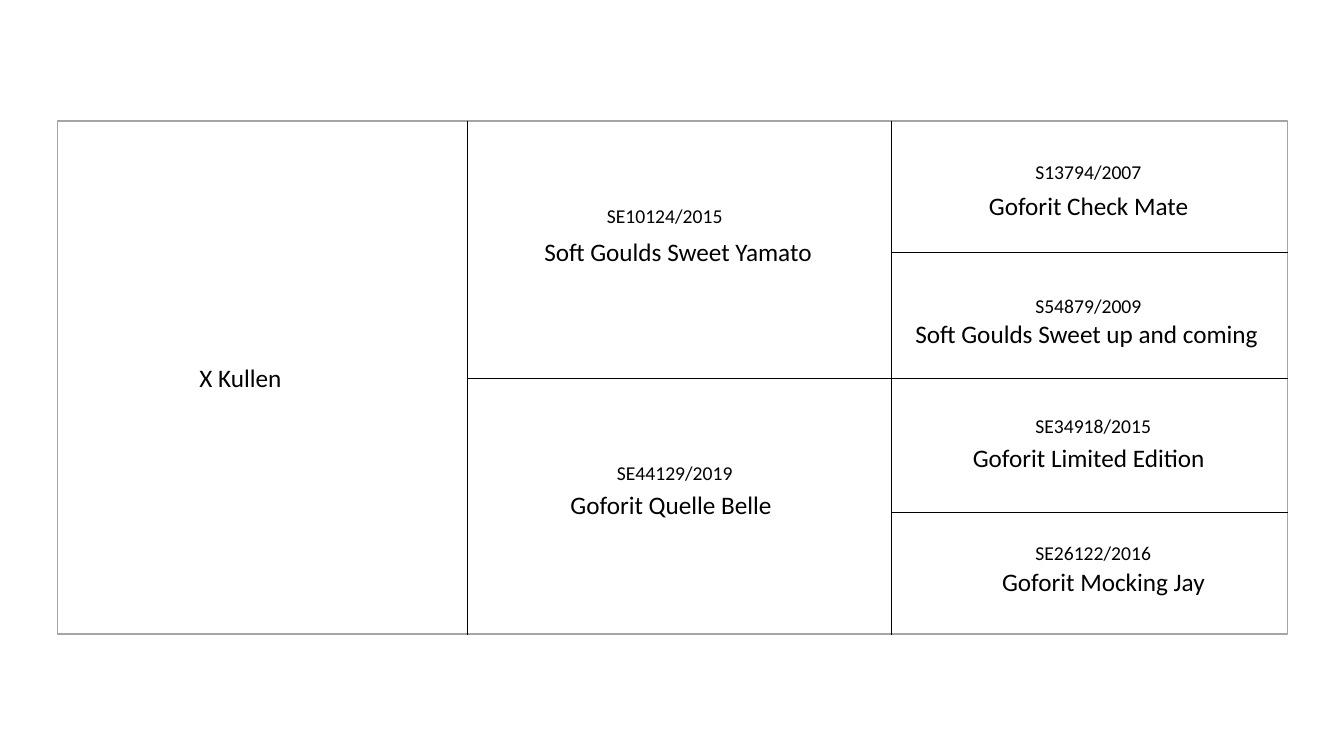
from dataclasses import dataclass

import pptx
import pptx.dml.color
import pptx.enum.shapes
import pptx.enum.text
import pptx.oxml
import pptx.oxml.ns
import pptx.util

Inches = pptx.util.Inches
Pt = pptx.util.Pt
Color = pptx.dml.color.RGBColor.from_string


@dataclass(frozen=True)
class Theme:
    font: str = "Calibri"
    ink: str = "000000"
    paper: str = "FFFFFF"
    edge: str = "A5A5A5"
    name: int = 18
    code: int = 14


THEME = Theme()

LEFT, TOP, WIDTH, HEIGHT = 0.57, 1.2, 12.2, 5.09
RIGHT, BASE = LEFT + WIDTH, 6.3
PARENT, GRAND, MIDDLE = 4.64, 8.84, 3.75

# Left, top, width and text of each horse's name
NAMES = [
    (1.88, 3.55, 1.03, "X Kullen"),
    (5.3, 2.3, 2.89, "Soft Goulds Sweet Yamato"),
    (5.56, 4.81, 2.22, "Goforit Quelle Belle"),
    (9.71, 1.84, 2.2, "Goforit Check Mate"),
    (8.98, 3.11, 3.65, "Soft Goulds Sweet up and coming"),
    (9.55, 4.34, 2.53, "Goforit Limited Edition"),
    (9.84, 5.57, 2.24, "Goforit Mocking Jay"),
]

# Left, top, width and text of each registration number
CODES = [
    (5.92, 1.97, 1.36, "SE10124/2015"),
    (6.02, 4.52, 1.36, "SE44129/2019"),
    (10.17, 1.54, 1.27, "S13794/2007"),
    (10.17, 2.87, 1.27, "S54879/2009"),
    (10.17, 4.06, 1.36, "SE34918/2015"),
    (10.17, 5.32, 1.36, "SE26122/2016"),
]


def add_frame(slide):
    frame = slide.shapes.add_shape(
        pptx.enum.shapes.MSO_SHAPE.RECTANGLE,
        Inches(LEFT), Inches(TOP), Inches(WIDTH), Inches(HEIGHT))
    frame.shadow.inherit = False
    frame.fill.solid()
    frame.fill.fore_color.rgb = Color(THEME.paper)
    frame.line.color.rgb = Color(THEME.edge)
    frame.line.width = Pt(1)


def add_line(slide, x1, y1, x2, y2):
    line = slide.shapes.add_connector(
        pptx.enum.shapes.MSO_CONNECTOR.STRAIGHT,
        Inches(x1), Inches(y1), Inches(x2), Inches(y2))
    line.line.color.rgb = Color(THEME.ink)
    line.line.width = Pt(0.5)
    props = line._element.spPr
    props.append(pptx.oxml.parse_xml(
        f"<a:effectLst {pptx.oxml.ns.nsdecls('a')}/>"))


def add_label(slide, left, top, width, text, size):
    height = 0.4 if size == THEME.name else 0.34
    box = slide.shapes.add_textbox(
        Inches(left), Inches(top), Inches(width), Inches(height))
    frame = box.text_frame
    frame.word_wrap = False
    frame.auto_size = pptx.enum.text.MSO_AUTO_SIZE.SHAPE_TO_FIT_TEXT
    run = frame.paragraphs[0].add_run()
    run.text = text
    run.font.name = THEME.font
    run.font.size = Pt(size)
    run.font.color.rgb = Color(THEME.ink)


def main():
    deck = pptx.Presentation()
    deck.slide_width = Inches(13.33)
    deck.slide_height = Inches(7.5)
    slide = deck.slides.add_slide(deck.slide_layouts.get_by_name("Blank"))

    add_frame(slide)
    for x in (PARENT, GRAND):
        add_line(slide, x, TOP, x, BASE)
    add_line(slide, PARENT, MIDDLE, GRAND, MIDDLE)
    for y in (2.5, MIDDLE, 5.08):
        add_line(slide, GRAND, y, RIGHT, y)

    for labels, size in ((NAMES, THEME.name), (CODES, THEME.code)):
        for left, top, width, text in labels:
            add_label(slide, left, top, width, text, size)

    deck.save("out.pptx")


if __name__ == "__main__":
    main()
